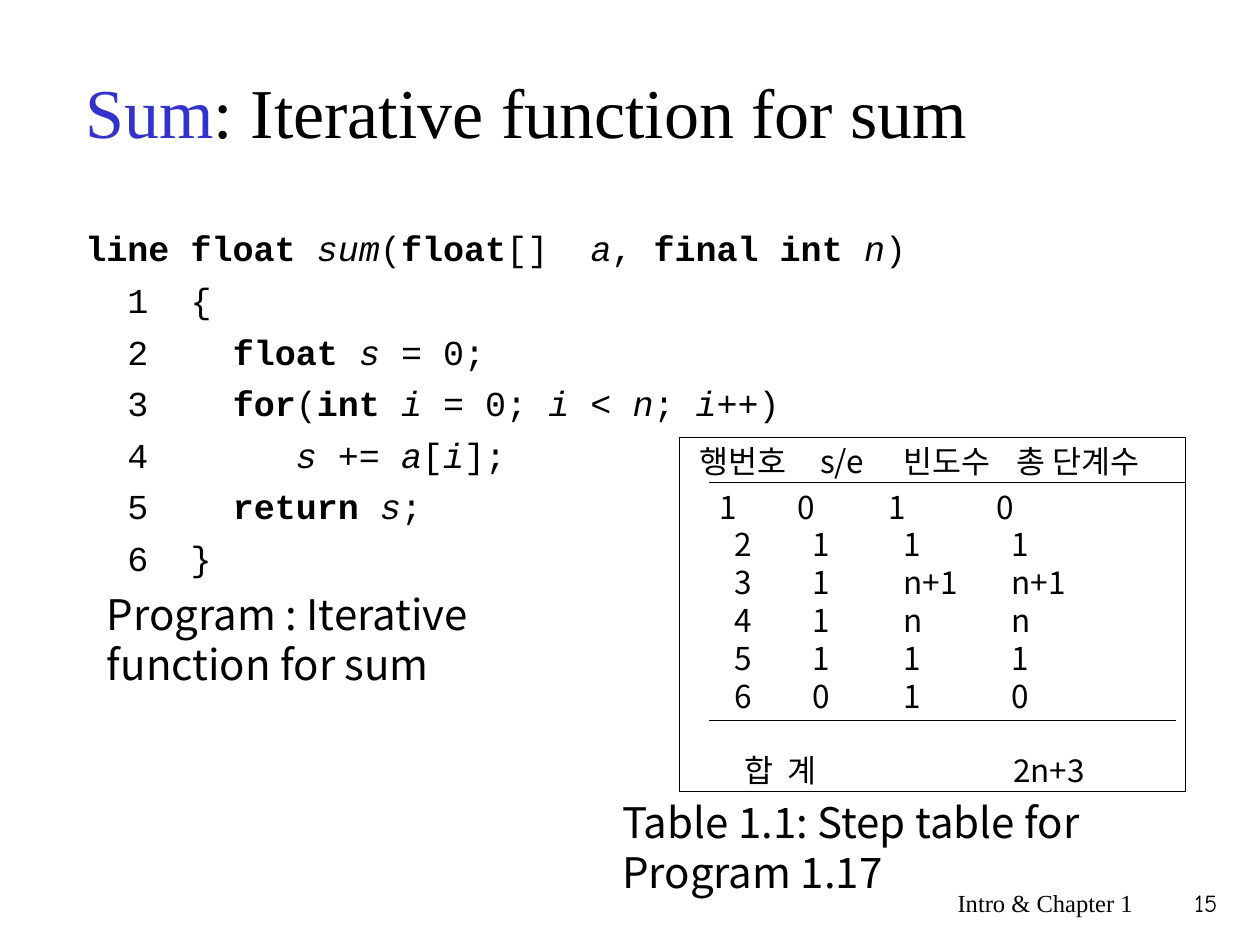
from lxml import etree
from pptx import Presentation
from pptx.dml.color import RGBColor
from pptx.enum.shapes import MSO_CONNECTOR, MSO_SHAPE
from pptx.enum.text import MSO_ANCHOR, PP_ALIGN
from pptx.oxml.ns import qn
from pptx.util import Inches, Pt

LEFT, RIGHT = PP_ALIGN.LEFT, PP_ALIGN.RIGHT
TOP, MIDDLE, BOTTOM = MSO_ANCHOR.TOP, MSO_ANCHOR.MIDDLE, MSO_ANCHOR.BOTTOM
RECTANGLE, STRAIGHT = MSO_SHAPE.RECTANGLE, MSO_CONNECTOR.STRAIGHT

SERIF, MONO, SANS, COMIC = "Times New Roman", "Courier New", "Noto Sans CJK KR", "Comic Neue"
BLACK, BLUE = "000000", "3333CC"
NBSP = "\u00a0"

SIGNATURE = f"*line{NBSP}float *_sum_(*float*[]  _a_, *final int *_n_)"
CODE = [
    (1, "{"),
    (4, "*float *_s_ = 0;"),
    (4, "*for*(*int *_i_ = 0; _i_ < _n_; _i_++)"),
    (7, "_s_ += _a_[_i_];"),
    (4, "*return *_s_;"),
    (1, "}"),
]

STEP_LEFT, STEP_TOP, STEP_WIDTH = 5.39, 3.47, 4.02
COLUMN_WIDTHS = [0.91, 0.65, 0.95, 1.51]
ROW_HEIGHTS = [0.36] + [0.3] * 5 + [0.39, 0.56]
STEP_HEADER = ["행번호", "s/e", "빈도수", "총 단계수"]
STEP_ROWS = [
    ["1", "0", "1", "0"],
    ["2", "1", "1", "1"],
    ["3", "1", "n+1", "n+1"],
    ["4", "1", "n", "n"],
    ["5", "1", "1", "1"],
    ["6", "0", "1", "0"],
]
HEADER_INSETS = [0.16, 0.21, 0.22, 0.17]
VALUE_INSETS = [0.44, 0.15, 0.22, 0.13]
FIRST_ROW_SHIFT = 0.12


def color(hex_value):
    return RGBColor.from_string(hex_value)


def apply(target, values):
    for attribute, value in values.items():
        setattr(target, attribute, value)


def add_run(paragraph, text, size, face, ink=BLACK, **style):
    run = paragraph.add_run()
    run.text = text
    apply(run.font, {"size": Pt(size), "name": face, **style})
    run.font.color.rgb = color(ink)
    if face == SANS:
        east_asian = etree.SubElement(run.font._element, qn("a:ea"))
        east_asian.set("typeface", face)


def add_code_line(paragraph, markup):
    paragraph.space_before = Pt(5.5)
    for bold_index, chunk in enumerate(markup.split("*")):
        for italic_index, piece in enumerate(chunk.split("_")):
            if piece:
                add_run(paragraph, piece, 20, MONO,
                        bold=bold_index % 2 == 1, italic=italic_index % 2 == 1)


def add_frame(slide, left, top, width, height):
    box = slide.shapes.add_textbox(Inches(left), Inches(top), Inches(width), Inches(height))
    box.text_frame.word_wrap = True
    return box.text_frame


def add_label(slide, text, place, size, face, align=LEFT):
    paragraph = add_frame(slide, *place).paragraphs[0]
    paragraph.alignment = align
    add_run(paragraph, text, size, face)


def add_rule(slide, left, right, y):
    rule = slide.shapes.add_connector(STRAIGHT, Inches(left), Inches(y), Inches(right), Inches(y))
    rule.line.color.rgb = color(BLACK)
    rule.line.width = Pt(0.75)
    etree.SubElement(rule._element.spPr, qn("a:effectLst"))


def add_title(slide):
    title = slide.shapes.title
    apply(title, {"left": Inches(0.58), "top": Inches(0.25),
                  "width": Inches(8.5), "height": Inches(1.25)})
    title.text_frame.vertical_anchor = MIDDLE
    paragraph = title.text_frame.paragraphs[0]
    paragraph.alignment = LEFT
    add_run(paragraph, "Sum", 40, SERIF, BLUE)
    add_run(paragraph, ": Iterative function for sum", 40, SERIF)


def add_program(slide):
    listing = add_frame(slide, 0.58, 1.75, 8.5, 5.08)
    add_code_line(listing.paragraphs[0], SIGNATURE)
    for number, (indent, statement) in enumerate(CODE, 1):
        gutter = f"{NBSP * 2}{number}{NBSP * indent}{' ' if indent == 1 else ''}"
        add_code_line(listing.add_paragraph(), gutter + statement)


def fill_cell(cell, text, inset, anchor=TOP):
    apply(cell, {"margin_left": Inches(inset), "margin_right": 0, "margin_top": 0,
                 "margin_bottom": 0, "vertical_anchor": anchor})
    add_run(cell.text_frame.paragraphs[0], text, 18, SANS, bold=False)


def add_step_table(slide):
    place = [Inches(v) for v in (STEP_LEFT, STEP_TOP, STEP_WIDTH, sum(ROW_HEIGHTS))]
    border = slide.shapes.add_shape(RECTANGLE, *place)
    border.shadow.inherit = False
    border.fill.background()
    border.line.color.rgb = color(BLACK)
    border.line.width = Pt(0.75)

    table = slide.shapes.add_table(len(ROW_HEIGHTS), len(COLUMN_WIDTHS), *place).table
    apply(table, {"first_row": False, "horz_banding": False})
    table._tbl.tblPr.find(qn("a:tableStyleId")).text = "{2D5ABB26-0587-4C30-8999-92F81FD0307C}"
    for column, width in zip(table.columns, COLUMN_WIDTHS):
        column.width = Inches(width)
    for row, height in zip(table.rows, ROW_HEIGHTS):
        row.height = Inches(height)
    for cell in table.iter_cells():
        cell.fill.background()

    for row_index, values in enumerate([STEP_HEADER] + STEP_ROWS):
        insets = VALUE_INSETS if row_index else HEADER_INSETS
        shift = FIRST_ROW_SHIFT if row_index == 1 else 0
        for column_index, (value, inset) in enumerate(zip(values, insets)):
            fill_cell(table.cell(row_index, column_index), value, inset - shift)

    total_row = len(ROW_HEIGHTS) - 1
    table.cell(total_row, 0).merge(table.cell(total_row, 2))
    fill_cell(table.cell(total_row, 0), f"합{NBSP} 계", 0.52, BOTTOM)
    fill_cell(table.cell(total_row, 3), "2n+3", 0.14, BOTTOM)

    add_rule(slide, 5.63, 9.33, 5.72)
    add_rule(slide, 5.63, 9.41, 3.83)


def main():
    deck = Presentation()
    apply(deck, {"slide_width": Inches(10), "slide_height": Inches(7.5)})
    slide = deck.slides.add_slide(deck.slide_layouts[5])
    add_title(slide)
    add_program(slide)
    add_step_table(slide)
    add_label(slide, "Table 1.1: Step table for Program 1.17", (4.84, 6.27, 4.88, 0.4), 24, SANS)
    add_label(slide, "Program : Iterative function for sum", (0.75, 4.62, 3.86, 0.91), 24, SANS)
    add_label(slide, "Intro & Chapter 1", (5.92, 7, 3.17, 0.5), 14, SERIF, RIGHT)
    add_label(slide, "15", (9.08, 7, 0.68, 0.5), 14, COMIC, RIGHT)
    deck.save("out.pptx")


main()
